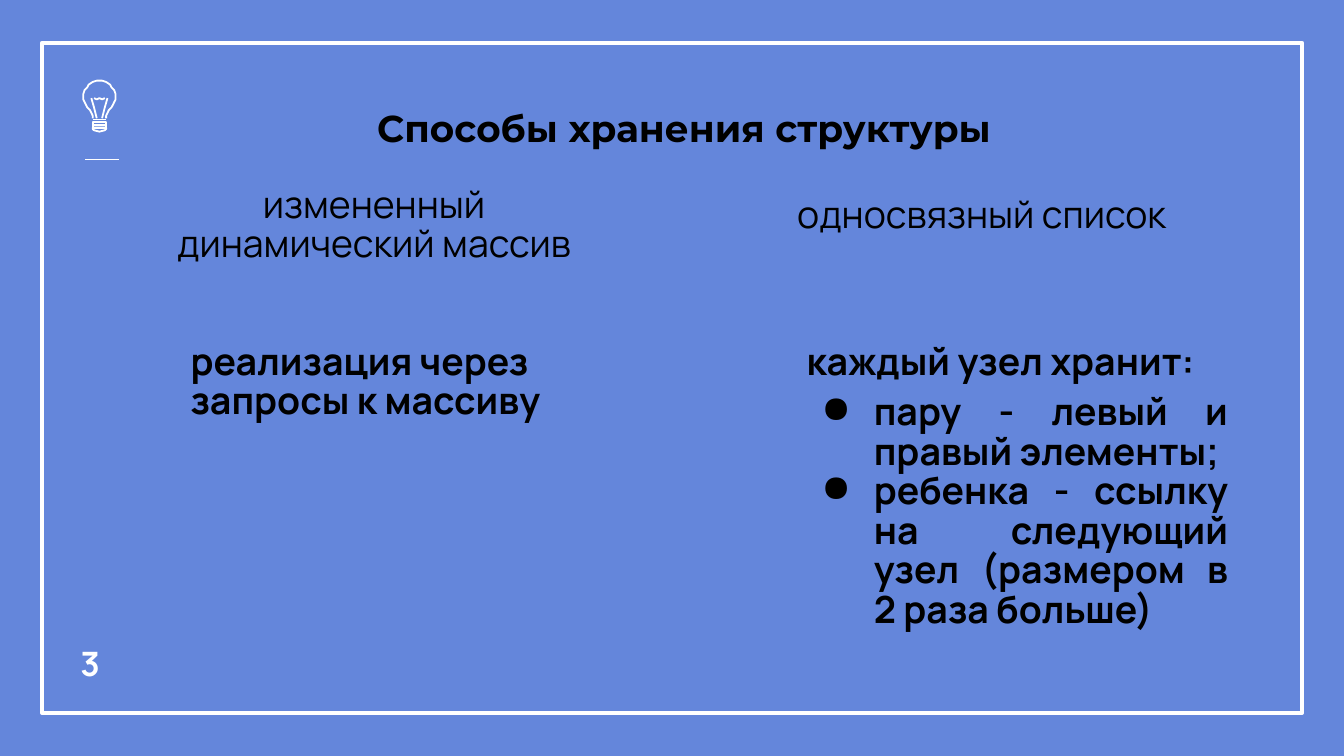
from lxml.etree import SubElement
from pptx import Presentation
from pptx.dml.color import RGBColor as Rgb
from pptx.enum.shapes import MSO_CONNECTOR as Conn, MSO_SHAPE as Kind
from pptx.enum.text import MSO_ANCHOR as Anchor, PP_ALIGN as Align
from pptx.oxml.ns import qn
from pptx.util import Pt

HUES = {"back": "6486DB", "white": "FFFFFF", "ink": "000000"}
UNIT = 0.72  # the bulb is drawn in hundredths of an inch
AXIS = 74    # centre line of the bulb

# right half of the glass, from the neck up to the top
GLASS = [(78.8, 88.5), (78.9, 86.5), (79.8, 84.5), (81, 82.5), (82.8, 80),
         (84.2, 78), (85.3, 76), (86, 73.5), (86.1, 71.5), (85.8, 69.5),
         (84.8, 67), (83.4, 65), (81.5, 62.8), (79.3, 61.4), (76.5, 60.5),
         (74, 60.2)]


def hue(name):
    return Rgb.from_string(HUES[name])


def stroke(item, width):
    item.line.color.rgb = hue("white")
    item.line.width = Pt(width)


def frame(slide):
    box = slide.shapes.add_shape(Kind.RECTANGLE, Pt(22.5), Pt(23),
                                 Pt(675), Pt(359))
    box.shadow.inherit = False
    box.fill.background()
    stroke(box, 2.25)


def rule(slide, left, right, top):
    line = slide.shapes.add_connector(Conn.STRAIGHT, Pt(left), Pt(top),
                                      Pt(right), Pt(top))
    SubElement(line._element.spPr, qn("a:effectLst"))
    stroke(line, 0.75)


def trace(group, dots, close=False):
    """Draw an unfilled outline through dots given in bulb units."""
    pen = group.shapes.build_freeform(*dots[0], scale=Pt(100 * UNIT) / 100)
    pen.add_line_segments(dots[1:], close=close)
    line = pen.convert_to_shape()
    line.shadow.inherit = False
    line.fill.background()
    stroke(line, 0.96)


def flip(dots):
    return [(2 * AXIS - x, y) for x, y in reversed(dots)]


def bulb(slide):
    group = slide.shapes.add_group_shape()
    for top in (91, 93):
        trace(group, [(69.2, top), (78.8, top), (78.8, top + 2),
                      (69.2, top + 2)], True)
    cap = [(78.8, 95), (78.6, 96), (77.8, 96.8), (74.4, 97.8)]
    trace(group, cap + flip(cap), True)
    trace(group, GLASS + flip(GLASS[:-1]))
    wire = [(79.6, 73.2), (78, 80), (76.4, 88.5)]
    trace(group, wire)
    trace(group, flip(wire))
    trace(group, [(70, 73.2), (72, 74.4), (74, 73.2), (76, 74.4), (78, 73.2)])
    trace(group, [(69.2, 88.8), (78.8, 88.8)])


def text(slide, area, first, *rest, anchor=Anchor.TOP):
    """Add a text box; each paragraph is a words and format pair."""
    box = slide.shapes.add_textbox(*map(Pt, area)).text_frame
    form = {"word_wrap": True, "vertical_anchor": anchor}
    form |= {"margin_" + side: Pt(7.2)
             for side in ("left", "top", "right", "bottom")}
    for key, val in form.items():
        setattr(box, key, val)
    write(box.paragraphs[0], *first)
    for pair in rest:
        write(box.add_paragraph(), *pair)


def write(para, words, name="Manrope", size=20, bold=False, tone="ink",
          align=Align.LEFT, space=0.88, above=6, left=0, mark=False):
    run = para.add_run()
    run.text = words
    for key, val in {"name": name, "size": Pt(size), "bold": bold}.items():
        setattr(run.font, key, val)
    run.font.color.rgb = hue(tone)
    form = {"alignment": align, "line_spacing": space,
            "space_before": Pt(above), "space_after": Pt(0)}
    for key, val in form.items():
        setattr(para, key, val)
    props = para._p.get_or_add_pPr()
    props.set("marL", str(Pt(left)))
    props.set("indent", str(Pt(-28) if mark else 0))
    if mark:
        paint = SubElement(props, qn("a:buClr"))
        SubElement(paint, qn("a:srgbClr"), val=HUES["ink"])
        SubElement(props, qn("a:buChar"), char="●")


def main():
    deck = Presentation()
    deck.slide_width, deck.slide_height = Pt(720), Pt(405)
    slide = deck.slides.add_slide(deck.slide_layouts[6])
    fill = slide.background.fill
    fill.solid()
    fill.fore_color.rgb = hue("back")

    frame(slide)
    rule(slide, 45.5, 64, 85.5)
    bulb(slide)

    bold = {"bold": True}
    mid = {"align": Align.CENTER, "left": 36}
    item = bold | {"align": Align.JUSTIFY, "left": 36, "mark": True}
    text(slide, (195, 49, 375, 57),
         ("Способы хранения структуры",
          bold | {"name": "Montserrat", "space": 1, "above": 0}))
    text(slide, (36, 93, 293, 57), ("измененный динамический массив", mid))
    text(slide, (361.5, 98.5, 293, 57), ("односвязный список", mid))
    text(slide, (59, 177, 240, 57),
         ("реализация через запросы к массиву", bold | {"left": 36}))
    text(slide, (425, 177, 240, 57),
         ("каждый узел хранит:", bold),
         ("пару - левый и правый элементы;", item),
         ("ребенка - ссылку на следующий узел (размером в 2 раза больше)",
          item | {"above": 0}))
    text(slide, (36, 330, 43, 43),
         ("3", bold | {"size": 18, "tone": "white", "space": 1, "above": 0}),
         anchor=Anchor.BOTTOM)
    deck.save("out.pptx")


# words and format reach write() as a pair
def spread(func):
    return lambda para, words, form: func(para, words, **form)


write = spread(write)

if __name__ == "__main__":
    main()
